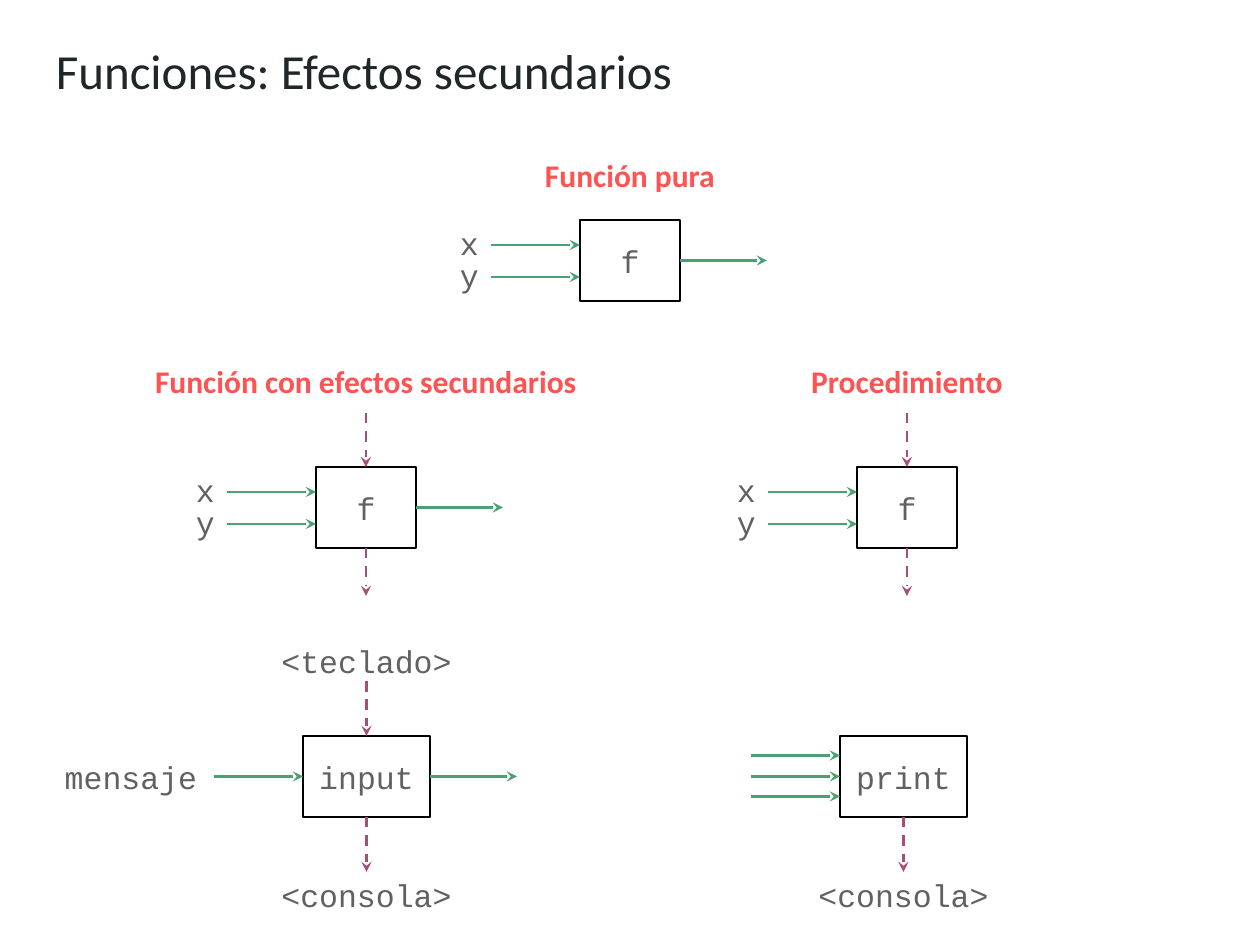
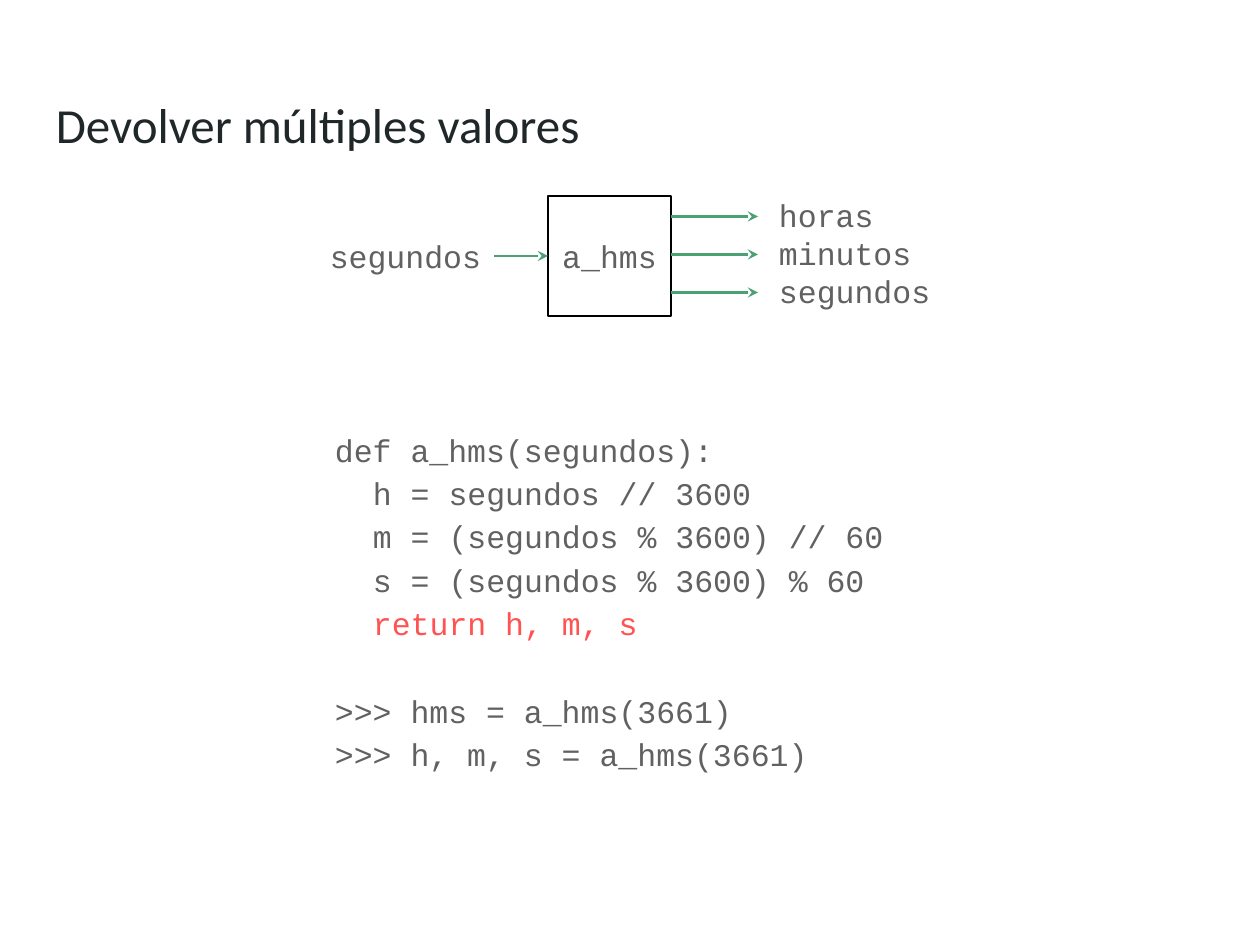
from dataclasses import dataclass

from lxml.etree import SubElement
from pptx import Presentation
from pptx.dml.color import RGBColor as RGB
from pptx.enum.dml import MSO_LINE as Dash
from pptx.enum.shapes import MSO_CONNECTOR as Connector, MSO_SHAPE as Preset
from pptx.enum.text import MSO_ANCHOR as Anchor, PP_ALIGN as Align
from pptx.oxml.ns import qn
from pptx.util import Emu, Pt

PX = 914400 / 126
TOP, LEFT, BOTTOM, RIGHT = range(4)


@dataclass(frozen=True)
class Theme:
    ink: RGB = RGB(0x20, 0x27, 0x29)
    code: RGB = RGB(0x61, 0x61, 0x61)
    accent: RGB = RGB(0xFF, 0x52, 0x52)
    border: RGB = RGB(0, 0, 0)
    value: RGB = RGB(0x4B, 0xA1, 0x73)
    effect: RGB = RGB(0xA6, 0x4D, 0x79)
    sans: str = "Calibri"
    mono: str = "Courier New"
    title_size: Pt = Pt(28)
    text_size: Pt = Pt(18)
    stroke: Pt = Pt(1.5)
    inset: int = 13


THEME = Theme()
TITLE = dict(name=THEME.sans, size=THEME.title_size, color=THEME.ink)
HEADING = dict(name=THEME.sans, size=THEME.text_size, color=THEME.accent, bold=True)
CODE = dict(name=THEME.mono, size=THEME.text_size, color=THEME.code)

LABEL_HEIGHT = 47
BOX_HEIGHT = 81
INPUT_LENGTH = 89
OUTPUT_LENGTH = 87
EFFECT_LENGTH = 55


def px(length):
    return Emu(round(length * PX))


def apply(target, values):
    for attribute, value in values.items():
        if attribute == "color":
            target.color.rgb = value
        else:
            setattr(target, attribute, value)


# Text
def write(shape, lines, style, align=Align.LEFT, anchor=Anchor.MIDDLE):
    frame = shape.text_frame
    margins = dict.fromkeys(
        ("margin_left", "margin_top", "margin_right", "margin_bottom"), px(THEME.inset))
    apply(frame, dict(margins, word_wrap=True, vertical_anchor=anchor))
    for number, line in enumerate(lines):
        paragraph = frame.add_paragraph() if number else frame.paragraphs[0]
        paragraph.alignment = align
        run = paragraph.add_run()
        run.text = line
        apply(run.font, style)
    return frame.paragraphs


def add_text(shapes, bounds, lines, style, **layout):
    return write(shapes.add_textbox(*map(px, bounds)), lines, style, **layout)


def add_title(slide, top, title):
    add_text(slide.shapes, (43, top, 1174, 105), [title], TITLE, anchor=Anchor.TOP)


def add_heading(shapes, center, top, heading):
    width = 590
    add_text(shapes, (center - width // 2, top, width, 68), [heading], HEADING,
             align=Align.CENTER, anchor=Anchor.TOP)


def add_label(shapes, left, top, width, label, align=Align.CENTER):
    add_text(shapes, (left, top, width, LABEL_HEIGHT), [label], CODE, align=align)


def add_device(shapes, center, top, device):
    width = 204
    add_label(shapes, center - width // 2, top, width, device)


# Function boxes and arrows
def add_function(shapes, left, top, width, height, name):
    function = shapes.add_shape(Preset.RECTANGLE, *map(px, (left, top, width, height)))
    function.shadow.inherit = False
    function.fill.background()
    apply(function.line, dict(color=THEME.border, width=THEME.stroke))
    write(function, [name], CODE, align=Align.CENTER)
    return function


def add_arrow(shapes, start, end, color=THEME.value, source=None, target=None):
    arrow = shapes.add_connector(Connector.STRAIGHT, *map(px, (*start, *end)))
    apply(arrow.line, dict(color=color, width=THEME.stroke))
    if color == THEME.effect:
        arrow.line.dash_style = Dash.DASH
    SubElement(arrow.line._get_or_add_ln(), qn("a:tailEnd"), type="stealth")
    SubElement(arrow._element.spPr, qn("a:effectLst"))
    if source:
        arrow.begin_connect(*source)
    if target:
        arrow.end_connect(*target)


def add_output(shapes, function, right, middle):
    add_arrow(shapes, (right, middle), (right + OUTPUT_LENGTH, middle),
              source=(function, RIGHT))


def add_input(shapes, function, left, middle, length=INPUT_LENGTH):
    add_arrow(shapes, (left - length, middle), (left, middle), target=(function, LEFT))


def add_effect_in(shapes, function, center, top, length=EFFECT_LENGTH):
    add_arrow(shapes, (center, top - length), (center, top), THEME.effect,
              target=(function, TOP))


def add_effect_out(shapes, function, center, bottom, length=EFFECT_LENGTH):
    add_arrow(shapes, (center, bottom), (center, bottom + length), THEME.effect,
              source=(function, BOTTOM))


# Diagrams
def add_f_diagram(shapes, heading, left, top, heading_gap, returns, effects):
    width = 100
    center = left + width / 2
    add_heading(shapes, center, top - heading_gap, heading)
    f = add_function(shapes, left, top, width, BOX_HEIGHT, "f")
    for number, parameter in enumerate("xy"):
        offset = 32 * number
        add_label(shapes, left - 133, top - 1 + offset, 39, parameter)
        level = top + 25 + offset
        add_arrow(shapes, (left - INPUT_LENGTH, level), (left, level))
    if returns:
        add_output(shapes, f, left + width, top + BOX_HEIGHT / 2)
    if effects:
        add_effect_in(shapes, f, center, top, 54)
        add_effect_out(shapes, f, center, top + BOX_HEIGHT, 48)


def add_console_function(shapes, left, top, name):
    """Box that writes to the console; returns it with its centre and middle."""
    width = 127
    center, bottom = left + width / 2, top + BOX_HEIGHT
    function = add_function(shapes, left, top, width, BOX_HEIGHT, name)
    add_effect_out(shapes, function, center, bottom)
    add_device(shapes, center, bottom + EFFECT_LENGTH - 1, "<consola>")
    return function, center, top + BOX_HEIGHT / 2


def add_input_diagram(shapes, left, top):
    function, center, middle = add_console_function(shapes, left, top, "input")
    add_label(shapes, left - 253, top + 17, 160, "mensaje", Align.RIGHT)
    add_input(shapes, function, left, middle)
    add_output(shapes, function, 2 * center - left, middle)
    add_effect_in(shapes, function, center, top)
    add_device(shapes, center, top - 99, "<teclado>")


def add_print_diagram(shapes, left, top):
    function, _, middle = add_console_function(shapes, left, top, "print")
    add_input(shapes, function, left, middle)
    for level in (middle - 21, middle + 20):
        add_arrow(shapes, (left - INPUT_LENGTH, level), (left, level))


def add_a_hms_diagram(shapes, left, top):
    width, height = 123, 120
    middle, right = top + height / 2, left + width
    a_hms = add_function(shapes, left, top, width, height, "a_hms")
    add_input(shapes, a_hms, left, middle, 54)
    add_label(shapes, left - 232, 232, 178, "segundos", Align.RIGHT)
    results = ["horas", "minutos", "segundos"]
    for number in range(len(results)):
        level = 216.5 + 38 * number
        add_arrow(shapes, (right, level), (right + OUTPUT_LENGTH, level))
    add_text(shapes, (766, 193, 178, 120), results, CODE)


def add_code(shapes):
    body = ["h = segundos // 3600", "m = (segundos % 3600) // 60",
            "s = (segundos % 3600) % 60", "return h, m, s"]
    session = [">>> hms = a_hms(3661)", ">>> h, m, s = a_hms(3661)"]
    lines = add_text(shapes, (322, 412, 590, 401),
                     ["def a_hms(segundos):", *body, *session], CODE, anchor=Anchor.TOP)
    for line in lines:
        line.line_spacing = 1.15
        if line.text in body:
            line._p.get_or_add_pPr().set("marL", str(px(38)))
        if line.text == body[-1]:
            line.runs[0].font.color.rgb = THEME.accent
        if line.text == session[0]:
            line.space_before = Pt(25)


def main():
    deck = Presentation()
    deck.slide_width, deck.slide_height = px(1260), px(945)
    blank = deck.slide_layouts[6]

    # Side effects
    effects = deck.slides.add_slide(blank)
    add_title(effects, 28, "Funciones: Efectos secundarios")
    add_f_diagram(effects.shapes, "Función pura", 580, 220, 77, True, False)
    for heading, left, returns in (("Función con efectos secundarios", 316, True),
                                   ("Procedimiento", 857, False)):
        add_f_diagram(effects.shapes.add_group_shape().shapes, heading, left, 467, 118,
                      returns, True)
    add_print_diagram(effects.shapes.add_group_shape().shapes, 840, 736)
    add_input_diagram(effects.shapes.add_group_shape().shapes, 303, 736)

    # Several return values
    values = deck.slides.add_slide(blank)
    add_title(values, 81, "Devolver múltiples valores")
    add_code(values.shapes)
    add_a_hms_diagram(values.shapes, 548, 196)

    deck.save("out.pptx")


if __name__ == "__main__":
    main()
